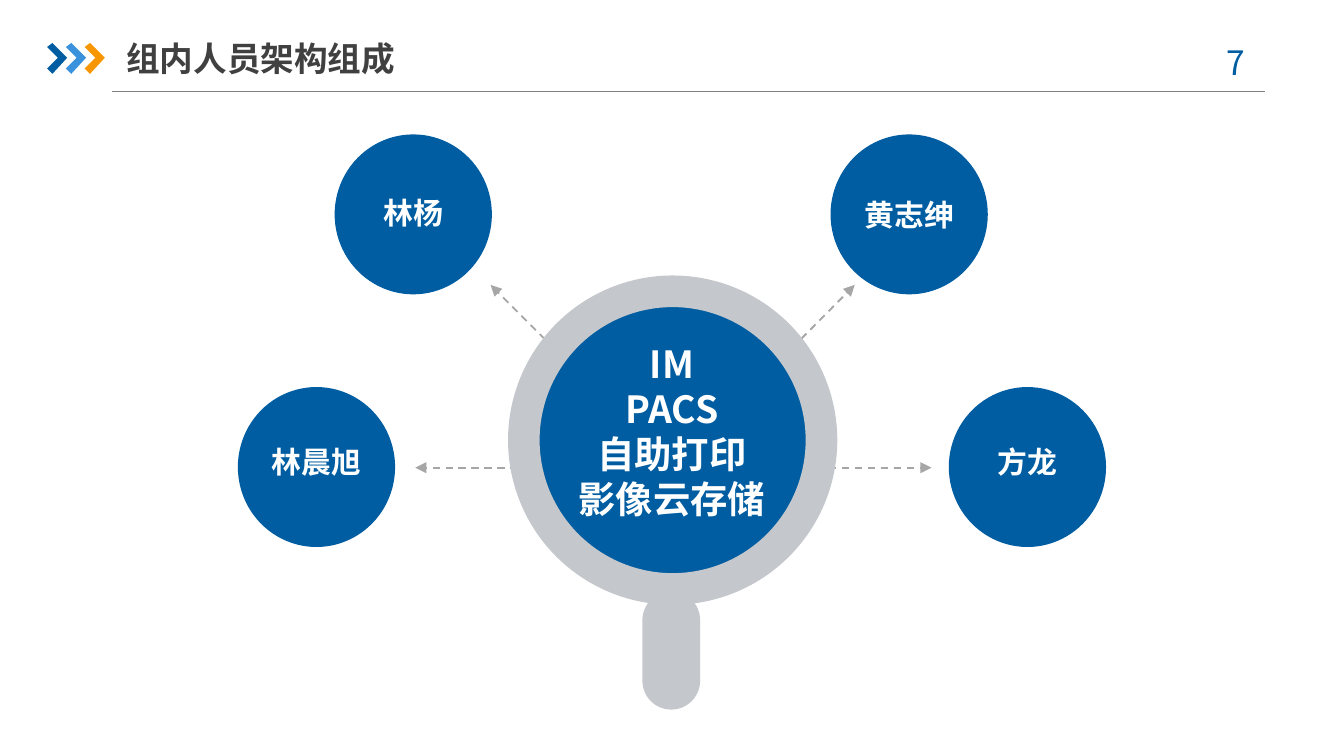
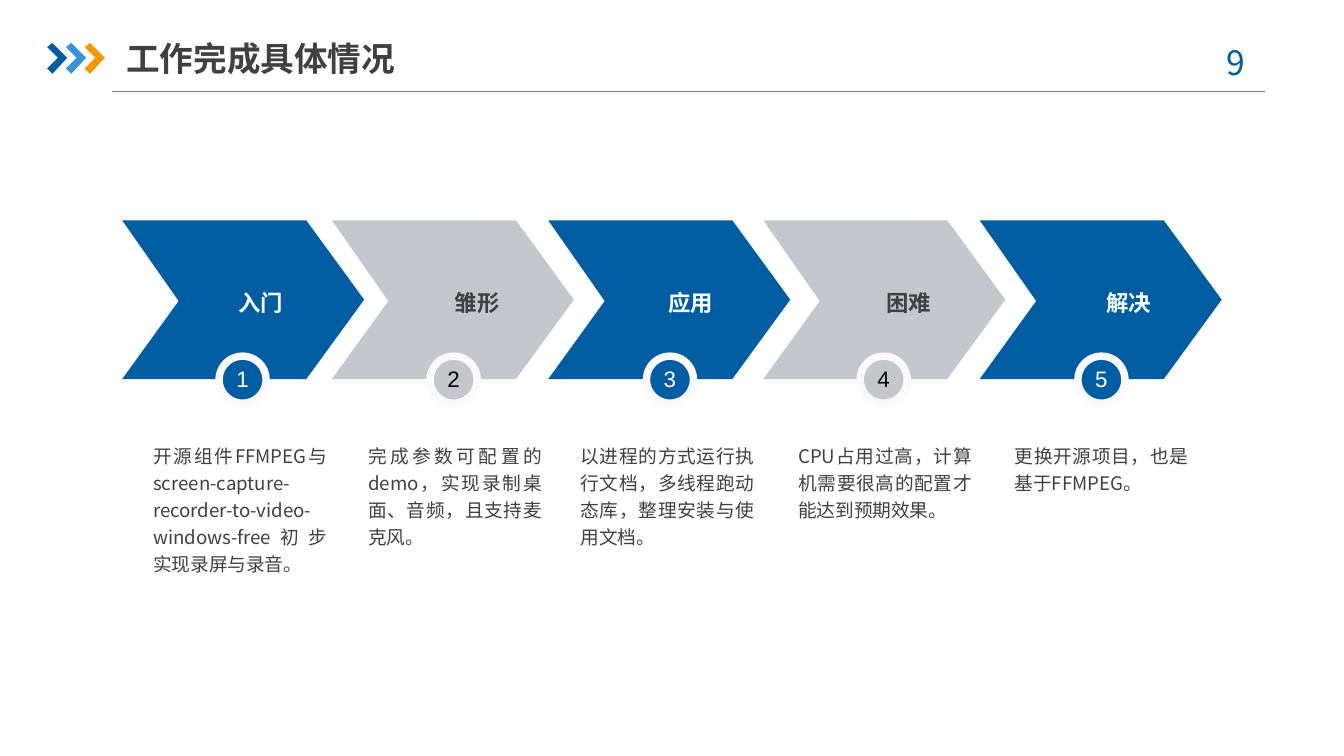
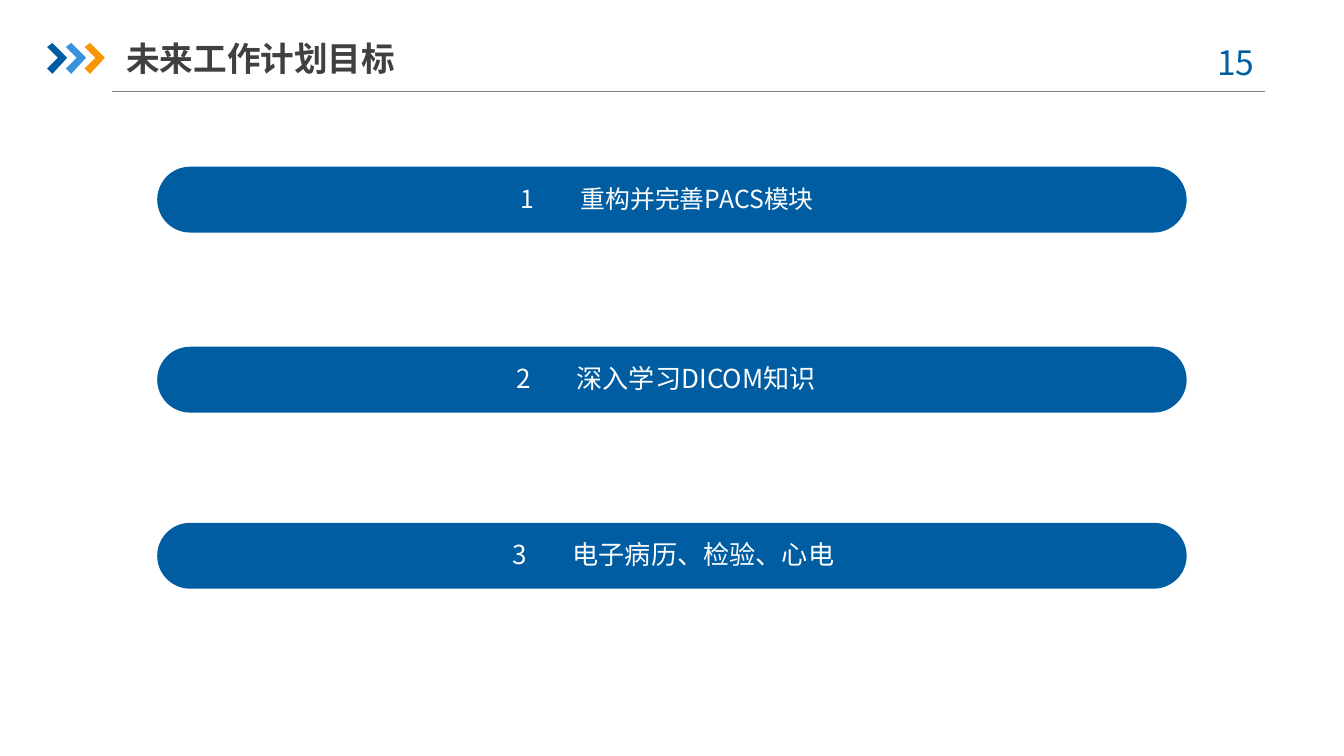
"""Build three report slides: team structure, work progress and future goals."""
import lxml.etree
import pptx
import pptx.dml.color
import pptx.enum.dml
import pptx.enum.shapes
import pptx.enum.text
import pptx.oxml.ns
import pptx.shapes.connector
import pptx.util

Inches = pptx.util.Inches
Pt = pptx.util.Pt
qn = pptx.oxml.ns.qn
rgb = pptx.dml.color.RGBColor.from_string
SHAPE = pptx.enum.shapes.MSO_SHAPE
STRAIGHT = pptx.enum.shapes.MSO_CONNECTOR.STRAIGHT
ALIGN = pptx.enum.text.PP_ALIGN
ANCHOR = pptx.enum.text.MSO_ANCHOR

BLUE, SKY, ORANGE, SILVER = "005DA2", "3992DB", "F79600", "C4C7CB"
WHITE, BLACK, INK = "FFFFFF", "000000", "404040"
SANS = "Noto Sans CJK SC"


def finish(part, color, width=1):
    """Colour a shape's fill or a connector's line, without shadow."""
    if isinstance(part, pptx.shapes.connector.Connector):
        part.line.color.rgb = rgb(color)
        part.line.width = Pt(width)
        lxml.etree.SubElement(part._element.spPr, qn("a:effectLst"))
    else:
        part.fill.solid()
        part.fill.fore_color.rgb = rgb(color)
        part.line.fill.background()
        part.shadow.inherit = False
    return part


def write(slide, text, box, size, color, bold=False, font=SANS, align=ALIGN.CENTER,
          anchor=ANCHOR.MIDDLE, insets=(0, 0, 0, 0), spacing=None):
    """Add a wrapped text box with one style for all its paragraphs."""
    frame = slide.shapes.add_textbox(*map(Inches, box)).text_frame
    frame.word_wrap = True
    frame.vertical_anchor = anchor
    frame.margin_left, frame.margin_top, frame.margin_right, frame.margin_bottom = map(Inches, insets)
    frame.text = text
    for paragraph in frame.paragraphs:
        paragraph.alignment = align
        paragraph.line_spacing = spacing
        for run in paragraph.runs:
            run.font.size = Pt(size)
            run.font.bold = bold
            run.font.color.rgb = rgb(color)
            run.font.name = font
            lxml.etree.SubElement(run.font._element, qn("a:ea"), typeface=font)
    return frame


deck = pptx.Presentation()
deck.slide_width = Inches(10)
deck.slide_height = deck.slide_width * 9 // 16

slides = []
for title, page in [("组内人员架构组成", "7"), ("工作完成具体情况", "9"), ("未来工作计划目标", "15")]:
    slide = deck.slides.add_slide(deck.slide_layouts[6])
    slides.append(slide)
    finish(slide.shapes.add_connector(STRAIGHT, Inches(0.83), Inches(0.68), Inches(9.41), Inches(0.68)),
           "808080", 0.75)
    for index, color in enumerate([BLUE, SKY, ORANGE]):
        left = 0.35 + index * 0.14
        corners = [(Inches(left + dx), Inches(0.32 + dy)) for dx, dy in
                   [(0, 0.03), (0.04, 0), (0.15, 0.11), (0.04, 0.23), (0, 0.19), (0.08, 0.11)]]
        chevron = slide.shapes.build_freeform(*corners[0])
        chevron.add_line_segments(corners[1:])
        finish(chevron.convert_to_shape(), color)
    write(slide, page, (8.86, 0.26, 0.73, 0.4), 18, BLUE, anchor=ANCHOR.TOP, insets=(0.1, 0.05, 0.16, 0.05))
    write(slide, title, (0.94, 0.22, 2.33, 0.42), 18, INK, bold=True, align=ALIGN.LEFT,
          insets=(0, 0.05, 0, 0.05))
team, progress, goals = slides

for tip_x, tip_y in [(3.09, 3.48), (6.93, 3.48), (3.65, 2.12), (6.36, 2.12)]:
    spoke = team.shapes.add_connector(STRAIGHT, Inches(5.01), Inches(3.48), Inches(tip_x), Inches(tip_y))
    spoke.line.dash_style = pptx.enum.dml.MSO_LINE.DASH
    finish(spoke, "A6A6A6")
    lxml.etree.SubElement(spoke._element.spPr.find(qn("a:ln")), qn("a:tailEnd"), type="triangle")

for kind, color, adjustment, box in [
    (SHAPE.OVAL, BLUE, None, (3.97, 2.25, 2.05, 2.05)),
    (SHAPE.DONUT, SILVER, 0.096, (3.78, 2.05, 2.45, 2.45)),
    (SHAPE.ROUNDED_RECTANGLE, SILVER, 0.5, (4.78, 4.4, 0.43, 0.88)),
]:
    lens = finish(team.shapes.add_shape(kind, *map(Inches, box)), color)
    if adjustment:
        lens.adjustments[0] = adjustment
write(team, "IM\nPACS\n自助打印\n影像云存储", (4.2, 2.49, 1.6, 1.45), 20, WHITE, bold=True,
      anchor=ANCHOR.TOP, insets=(0.1, 0.05, 0.1, 0.05))

for member, left, top, name_top in [
    ("林晨旭", 1.77, 2.88, 3.24),
    ("林杨", 2.49, 1, 1.39),
    ("黄志绅", 6.18, 1, 1.4),
    ("方龙", 7.06, 2.88, 3.24),
]:
    finish(team.shapes.add_shape(SHAPE.OVAL, Inches(left), Inches(top), Inches(1.17), Inches(1.19)), BLUE)
    write(team, member, (left + 0.1, name_top, 0.97, 0.39), 16, WHITE, bold=True,
          anchor=ANCHOR.TOP, insets=(0.12, 0.06, 0.12, 0.06))

stages = [
    ("入门", 0.91, 1.94, 1.63, 1.14,
     "开源组件FFMPEG与screen-capture-recorder-to-video-windows-free初步实现录屏与录音。"),
    ("雏形", 2.47, 3.55, 3.2, 2.74, "完成参数可配置的demo，实现录制桌面、音频，且支持麦克风。"),
    ("应用", 4.08, 5.14, 4.81, 4.32, "以进程的方式运行执行文档，多线程跑动态库，整理安装与使用文档。"),
    ("困难", 5.68, 6.76, 6.4, 5.94, "CPU占用过高，计算机需要很高的配置才能达到预期效果。"),
    ("解决", 7.29, 8.4, 8.02, 7.55, "更换开源项目，也是基于FFMPEG。"),
]
for number, (stage, left, label_center, badge_left, detail_left, detail) in enumerate(stages, 1):
    if number % 2:
        color, label_color, number_color = BLUE, WHITE, WHITE
    else:
        color, label_color, number_color = SILVER, INK, BLACK
    corners = [(Inches(left + dx), Inches(1.64 + dy)) for dx, dy in
               [(0, 0), (0.42, 0.6), (0, 1.18), (1.37, 1.18), (1.8, 0.59), (1.37, 0)]]
    arrow = progress.shapes.build_freeform(*corners[0])
    arrow.add_line_segments(corners[1:])
    finish(arrow.convert_to_shape(), color)
    write(progress, stage, (label_center - 0.6, 2.16, 1.2, 0.18), 12, label_color, bold=True)

    badge = finish(progress.shapes.add_shape(
        SHAPE.OVAL, Inches(badge_left), Inches(2.65), Inches(0.35), Inches(0.35)), color)
    badge.line.color.rgb = rgb("FBF9FC")
    badge.line.width = Pt(4)
    write(progress, str(number), (badge_left + 0.1, 2.69, 0.15, 0.26), 12, number_color, font="Arial")
    write(progress, detail, (detail_left, 3.28, 1.29, 1.01), 10, INK, align=ALIGN.JUSTIFY,
          anchor=ANCHOR.TOP, spacing=1.2)

for number, (goal, top, size, inset) in enumerate([
    ("重构并完善PACS模块", 1.24, 13.3, 0.52),
    ("深入学习DICOM知识", 2.58, 14, 0.49),
    ("电子病历、检验、心电", 3.89, 14, 0.46),
], 1):
    bar = finish(goals.shapes.add_shape(
        SHAPE.ROUNDED_RECTANGLE, Inches(1.17), Inches(top), Inches(7.66), Inches(0.49)), BLUE)
    bar.adjustments[0] = 0.5
    frame = write(goals, f"{number}\t{goal}", (3.35, top + 0.08, 3.31, 0.34), size, "FCFCFC",
                  align=ALIGN.LEFT, insets=(inset, 0, 0, 0), spacing=0.9)
    hanging = frame.paragraphs[0]._p.get_or_add_pPr()
    hanging.set("marL", str(Inches(0.45)))
    hanging.set("indent", str(-Inches(0.45)))

deck.save("out.pptx")
